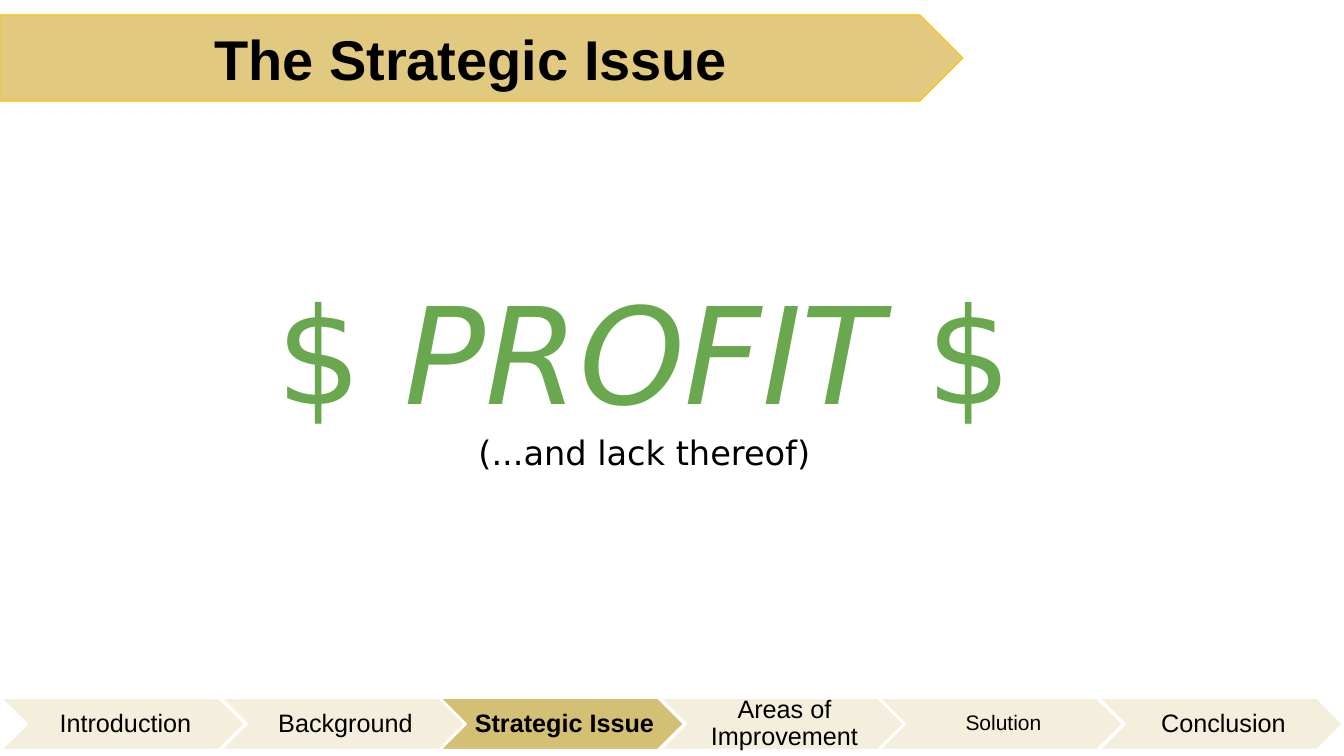
from lxml.etree import SubElement
from pptx import Presentation
from pptx.dml.color import RGBColor
from pptx.enum.shapes import MSO_SHAPE
from pptx.enum.text import MSO_ANCHOR, PP_ALIGN
from pptx.oxml.ns import qn
from pptx.util import Emu, Pt

BLACK = RGBColor(0x00, 0x00, 0x00)
WHITE = RGBColor(0xFF, 0xFF, 0xFF)
SAND = RGBColor(0xE1, 0xCA, 0x80)
AMBER = RGBColor(0xFF, 0xC0, 0x00)
GOLD = RGBColor(0xD4, 0xC0, 0x74)
GREEN = RGBColor(0x6A, 0xA8, 0x4F)

STEPS = [
    ("Introduction", 18),
    ("Background", 18),
    ("Strategic Issue", 18),
    ("Areas of Improvement", 18),
    ("Solution", 15),
    ("Conclusion", 18),
]
CURRENT_STEP = "Strategic Issue"
FIRST_LEFT, LAST_LEFT = 1, 1099
STEP_TOP, STEP_WIDTH, STEP_HEIGHT = 698, 244, 52


def px(n):
    return Emu(round(n * 914400 / 100.8))


def add_arrow(shapes, kind, box, fill, line, line_width):
    sp = shapes.add_shape(kind, *map(px, box))
    sp.adjustments[0] = 0.5
    sp.shadow.inherit = False
    sp.fill.solid()
    sp.fill.fore_color.rgb = fill
    sp.line.color.rgb = line
    sp.line.width = Pt(line_width)
    return sp


def set_alpha(sp, percent):
    color = sp.fill._xPr.find(qn("a:solidFill"))[0]
    SubElement(color, qn("a:alpha")).set("val", str(percent * 1000))


def set_frame(sp, insets):
    tf = sp.text_frame
    tf.word_wrap = True
    tf.vertical_anchor = MSO_ANCHOR.MIDDLE
    tf.margin_left, tf.margin_top, tf.margin_right, tf.margin_bottom = map(px, insets)
    return tf


def add_run(p, text, size, font, color=BLACK, bold=False, italic=False):
    p.alignment = PP_ALIGN.CENTER
    r = p.add_run()
    r.text = text
    r.font.size = Pt(size)
    r.font.name = font
    r.font.color.rgb = color
    r.font.bold = bold
    r.font.italic = italic


def add_title(s):
    sp = add_arrow(s.shapes, MSO_SHAPE.PENTAGON, (0, 15, 963, 86), SAND, AMBER, 0.75)
    tf = set_frame(sp, (10, 5, 10, 5))
    add_run(tf.paragraphs[0], "The Strategic Issue", 40, "Arial", bold=True)


def add_message(s):
    sp = s.shapes.add_textbox(*map(px, (83, 146, 1123, 450)))
    tf = set_frame(sp, (10, 10, 10, 10))
    p = tf.paragraphs[0]
    for text, italic in (("$ ", False), ("PROFIT", True), (" $", False)):
        add_run(p, text, 96, "DejaVu Sans", GREEN, italic=italic)
    add_run(tf.add_paragraph(), "(...and lack thereof)", 24, "DejaVu Sans")


def add_step(shapes, left, label, size):
    current = label == CURRENT_STEP
    box = (left, STEP_TOP, STEP_WIDTH, STEP_HEIGHT)
    chevron = add_arrow(shapes, MSO_SHAPE.CHEVRON, box, GOLD, WHITE, 1.5)
    if not current:
        set_alpha(chevron, 24)
    notch = STEP_HEIGHT // 2
    sp = shapes.add_textbox(
        px(left + notch), px(STEP_TOP), px(STEP_WIDTH - 2 * notch), px(STEP_HEIGHT)
    )
    p = set_frame(sp, (8, 3, 3, 3)).paragraphs[0]
    p.line_spacing = 0.9
    add_run(p, label, size, "Arial", bold=current)


def add_progress_bar(s):
    shapes = s.shapes.add_group_shape().shapes
    for i, (label, size) in enumerate(STEPS):
        left = FIRST_LEFT + round(i * (LAST_LEFT - FIRST_LEFT) / (len(STEPS) - 1))
        add_step(shapes, left, label, size)


def main():
    prs = Presentation()
    prs.slide_width, prs.slide_height = px(1344), px(756)
    s = prs.slides.add_slide(prs.slide_layouts[6])
    add_title(s)
    add_message(s)
    add_progress_bar(s)
    prs.save("out.pptx")


if __name__ == "__main__":
    main()
